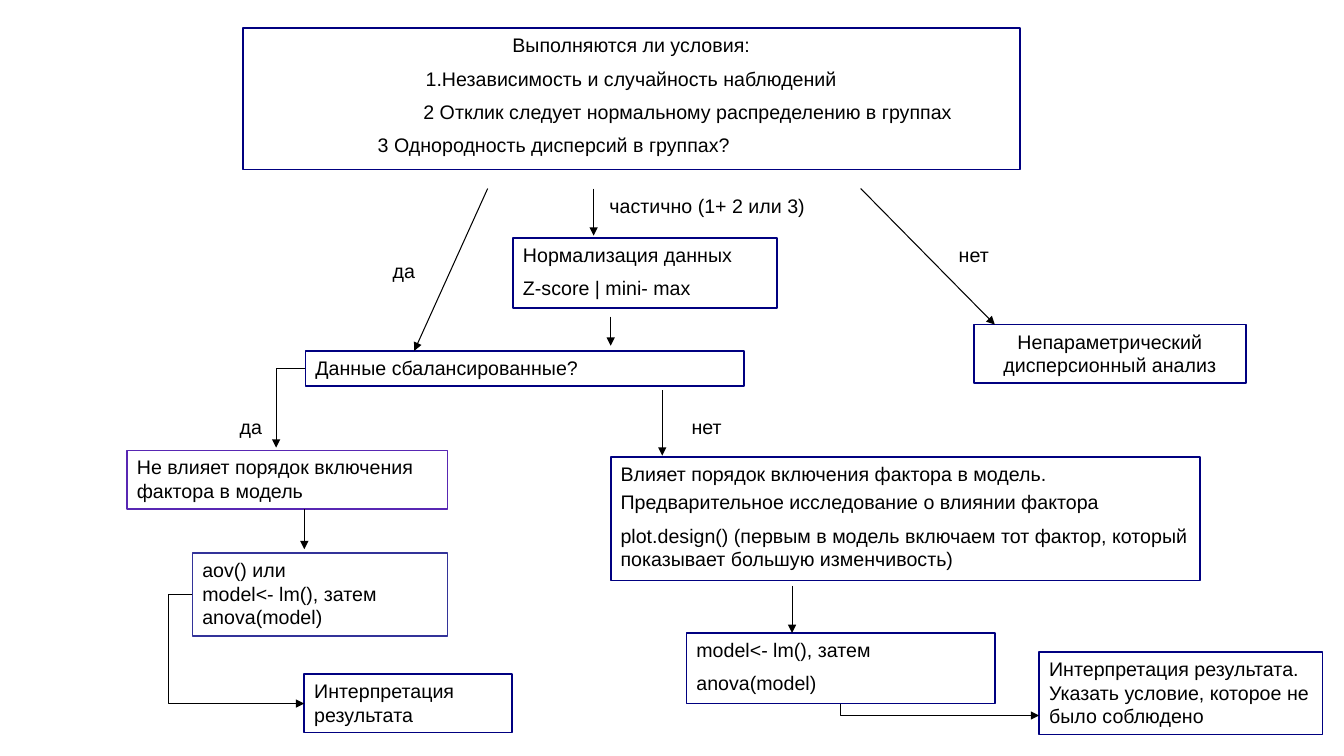
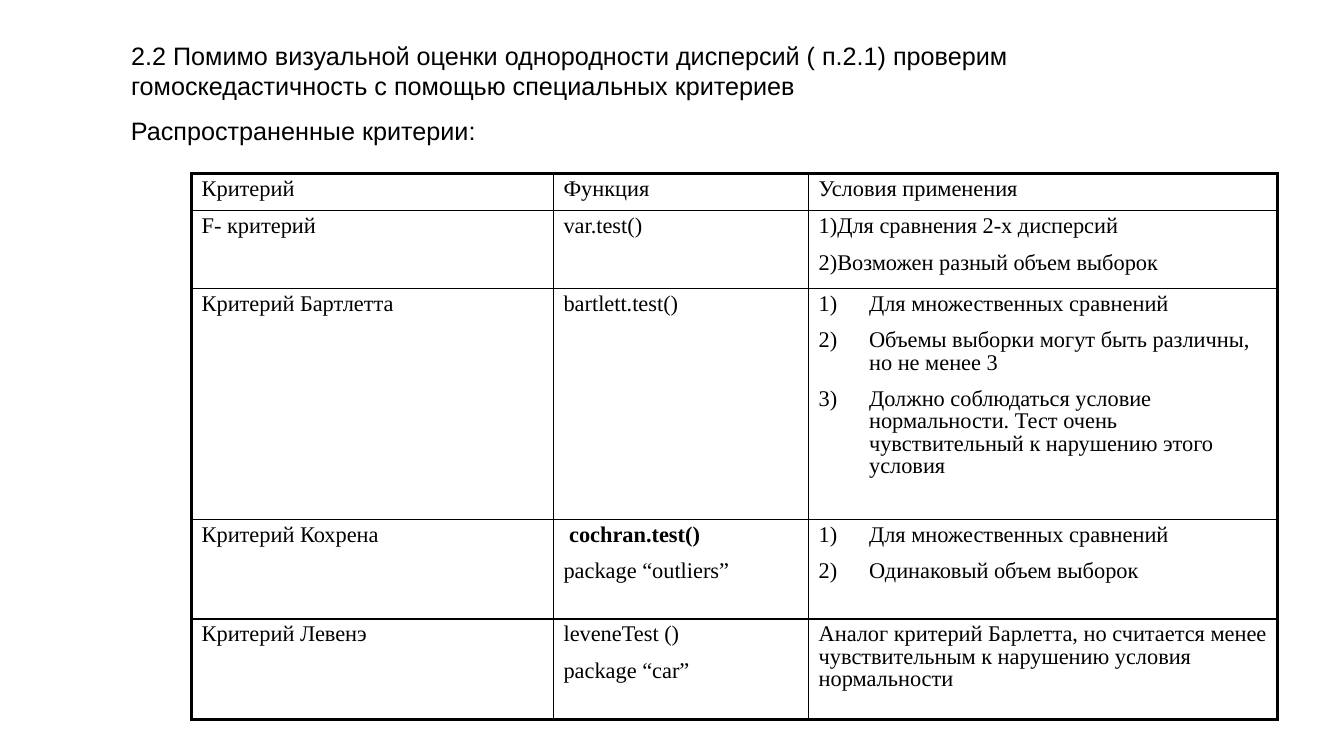
from pptx import Presentation
from pptx.dml.color import RGBColor
from pptx.enum.shapes import MSO_CONNECTOR as LINK, MSO_SHAPE as SHAPE
from pptx.enum.text import MSO_ANCHOR as ANCHOR, MSO_AUTO_SIZE as AUTO, PP_ALIGN as ALIGN
from pptx.oxml.ns import qn
from pptx.util import Cm, Pt
from lxml.etree import SubElement

BLACK, NAVY, VIOLET, INDIGO = "000000", "000080", "5827B3", "333399"
LEFT, CENTER = ALIGN.LEFT, ALIGN.CENTER


def color(value):
    return RGBColor.from_string(value)


def write(frame, lines, size, font="Arial", align=LEFT, gap=7, spacing=None):
    """Fill a text frame, one paragraph a line."""
    frame.word_wrap = True
    frame.text = "\n".join(lines)
    for number, paragraph in enumerate(frame.paragraphs):
        paragraph.alignment = align
        paragraph.space_before = Pt(gap if number else 0)
        paragraph.line_spacing = spacing
        for run in paragraph.runs:
            run.font.name = font
            run.font.size = Pt(size)
            run.font.color.rgb = color(BLACK)


deck = Presentation()
deck.slide_width, deck.slide_height = Cm(33.87), Cm(19.05)

# Slide 1: decision flowchart
flow = deck.slides.add_slide(deck.slide_layouts[6])

# Steps: position and size in cm, outline, alignment, space between lines, text
steps = {
    "conditions": (6.12, 0.71, 19.58, 3.56, NAVY, CENTER, 7, [
        "Выполняются ли условия:",
        "1.Независимость и случайность наблюдений",
        "2 Отклик следует нормальному распределению в группах",
        "3 Однородность дисперсий в группах?"]),
    "normalize": (12.93, 5.99, 6.65, 1.78, NAVY, LEFT, 7, [
        "Нормализация данных", "Z-score | mini- max"]),
    "nonparametric": (24.54, 8.18, 6.86, 1.47, NAVY, CENTER, 7, [
        "Непараметрический дисперсионный анализ"]),
    "balanced": (7.7, 8.84, 11.05, 0.89, NAVY, LEFT, 7, [
        "Данные сбалансированные?"]),
    "any_order": (3.2, 11.35, 8.08, 1.47, VIOLET, LEFT, 7, [
        "Не влияет порядок включения фактора в модель"]),
    "order": (15.39, 11.51, 14.86, 3.12, NAVY, LEFT, 7, [
        "Влияет порядок включения фактора в модель.",
        "Предварительное исследование о влиянии фактора",
        "plot.design() (первым в модель включаем тот фактор, "
        "который показывает большую изменчивость)"]),
    "aov": (4.85, 13.94, 6.43, 2.08, INDIGO, LEFT, 0, [
        "aov() или", "model<- lm(), затем", "anova(model)"]),
    "lm": (17.3, 15.95, 7.77, 1.78, NAVY, LEFT, 7, [
        "model<- lm(), затем", "anova(model)"]),
    "result": (7.67, 16.99, 5.23, 1.47, NAVY, LEFT, 7, [
        "Интерпретация результата"]),
    "result_noted": (26.19, 16.43, 7.14, 2.08, NAVY, LEFT, 7, [
        "Интерпретация результата. Указать условие, которое не было соблюдено"]),
}
boxes = {}
for step, (x, y, width, height, outline, align, gap, lines) in steps.items():
    box = flow.shapes.add_shape(SHAPE.RECTANGLE, Cm(x), Cm(y), Cm(width), Cm(height))
    box.shadow.inherit = False
    box.fill.background()
    box.line.color.rgb = color(outline)
    box.line.width = Pt(1.25)
    box.text_frame.vertical_anchor = ANCHOR.TOP
    write(box.text_frame, lines, 14, align=align, gap=gap)
    boxes[step] = box

# Stepped indents of the last two conditions, tighter lines in the order box
response, variance = boxes["conditions"].text_frame.paragraphs[2:]
response._p.get_or_add_pPr().set("marL", str(Cm(2.85)))
variance._p.get_or_add_pPr().set("marL", str(Cm(3.15)))
variance.alignment = LEFT
boxes["order"].text_frame.paragraphs[1].space_before = Pt(3.5)

# Answers beside the arrows
answers = [
    ("да", 9.09, 6.4, 2.18, CENTER),
    ("частично (1+ 2 или 3)", 15.11, 4.75, 5.89, LEFT),
    ("нет", 23.42, 5.99, 2.24, CENTER),
    ("да", 5.66, 10.34, 1.32, CENTER),
    ("нет", 16.69, 10.34, 2.24, CENTER),
]
for answer, x, y, width, align in answers:
    label = flow.shapes.add_textbox(Cm(x), Cm(y), Cm(width), Cm(0.84))
    write(label.text_frame, [answer], 14, align=align)

# Arrows: ends in cm, preset, bend
arrows = [
    (12.29, 4.75, 10.44, 8.84, None, None),
    (14.96, 4.75, 14.96, 5.94, None, None),
    (21.69, 4.75, 25.07, 8.18, None, None),
    (15.39, 7.98, 15.39, 8.71, None, None),
    (16.69, 9.83, 16.69, 11.48, None, None),
    (7.67, 12.83, 7.67, 13.84, None, None),
    (19.96, 14.76, 19.96, 15.95, None, None),
    (7.7, 9.29, 6.96, 11.28, "bentConnector2", None),
    (4.85, 14.98, 7.67, 17.73, "bentConnector3", -21800),
    (21.19, 17.75, 26.19, 18.03, "bentConnector3", 0),
]
for x1, y1, x2, y2, preset, bend in arrows:
    kind = LINK.ELBOW if preset else LINK.STRAIGHT
    arrow = flow.shapes.add_connector(kind, Cm(x1), Cm(y1), Cm(x2), Cm(y2))
    arrow.line.color.rgb = color(BLACK)
    arrow.line.width = Pt(0.75)
    properties = arrow._element.spPr
    SubElement(properties.find(qn("a:ln")), qn("a:tailEnd"), type="triangle")
    SubElement(properties, qn("a:effectLst"))
    if preset:
        geometry = properties.find(qn("a:prstGeom"))
        geometry.set("prst", preset)
        if bend is not None:
            SubElement(geometry.find(qn("a:avLst")), qn("a:gd"),
                       name="adj1", fmla=f"val {bend}")

# Slide 2: tests of equal variances
tests = deck.slides.add_slide(deck.slide_layouts[5])
title = tests.shapes.title
title.left, title.top, title.width, title.height = Cm(3.05), Cm(0.89), Cm(27.94), Cm(1.85)
title.text_frame.auto_size = AUTO.NONE
title.text_frame.vertical_anchor = ANCHOR.TOP
write(title.text_frame, [
    "2.2 Помимо визуальной оценки однородности дисперсий ( п.2.1) проверим "
    "гомоскедастичность с помощью специальных критериев"], 18)
lead = tests.shapes.add_textbox(Cm(3.05), Cm(2.77), Cm(27.94), Cm(1.02))
write(lead.text_frame, ["Распространенные критерии:"], 18)

# Table of tests
rows = [
    (["Критерий"], ["Функция"], ["Условия применения"]),
    (["F- критерий"], ["var.test()"],
     ["1)Для сравнения 2-х дисперсий", "2)Возможен разный объем выборок"]),
    (["Критерий Бартлетта"], ["bartlett.test()"],
     ["Для множественных сравнений",
      "Объемы выборки могут быть различны, но не менее 3",
      "Должно соблюдаться условие нормальности. Тест очень чувствительный "
      "к нарушению этого условия"]),
    (["Критерий Кохрена"], ["cochran.test()", "package “outliers”"],
     ["Для множественных сравнений", "Одинаковый объем выборок"]),
    (["Критерий Левенэ"], ["leveneTest ()", "package “car”"],
     ["Аналог критерий Барлетта, но считается менее чувствительным "
      "к нарушению условия нормальности"]),
]
widths = [9.12, 6.43, 11.81]
heights = [0.94, 1.96, 5.82, 2.51, 2.54]
numbered_rows = (2, 3)
table = tests.shapes.add_table(len(rows), len(widths), Cm(4.83), Cm(4.37),
                               Cm(sum(widths)), Cm(sum(heights))).table
table.first_row = table.horz_banding = False
for column, width in zip(table.columns, widths):
    column.width = Cm(width)
for row, height in zip(table.rows, heights):
    row.height = Cm(height)

for r, row in enumerate(rows):
    for c, lines in enumerate(row):
        cell = table.cell(r, c)
        write(cell.text_frame, lines, 16, "Times New Roman", gap=10, spacing=0.9)
        if c == 2 and r in numbered_rows:
            for paragraph in cell.text_frame.paragraphs:
                numbering = paragraph._p.get_or_add_pPr()
                numbering.set("marL", str(Cm(1.27)))
                numbering.set("indent", str(Cm(-1.27)))
                SubElement(numbering, qn("a:buFont"), typeface="+mj-lt")
                SubElement(numbering, qn("a:buAutoNum"), type="arabicParenR")
        # Thick outer frame, thin inner grid
        outer = {"lnL": c == 0, "lnR": c == len(widths) - 1,
                 "lnT": r == 0, "lnB": r == len(rows) - 1}
        borders = cell._tc.get_or_add_tcPr()
        for side, is_outer in outer.items():
            border = SubElement(borders, qn(f"a:{side}"), w=str(Pt(2.25 if is_outer else 1)))
            SubElement(SubElement(border, qn("a:solidFill")), qn("a:srgbClr"), val=BLACK)
        cell.fill.background()

cochran = table.cell(3, 1).text_frame.paragraphs[0]
cochran._p.get_or_add_pPr().set("marL", str(Cm(0.14)))
cochran.runs[0].font.bold = True

deck.save("out.pptx")
